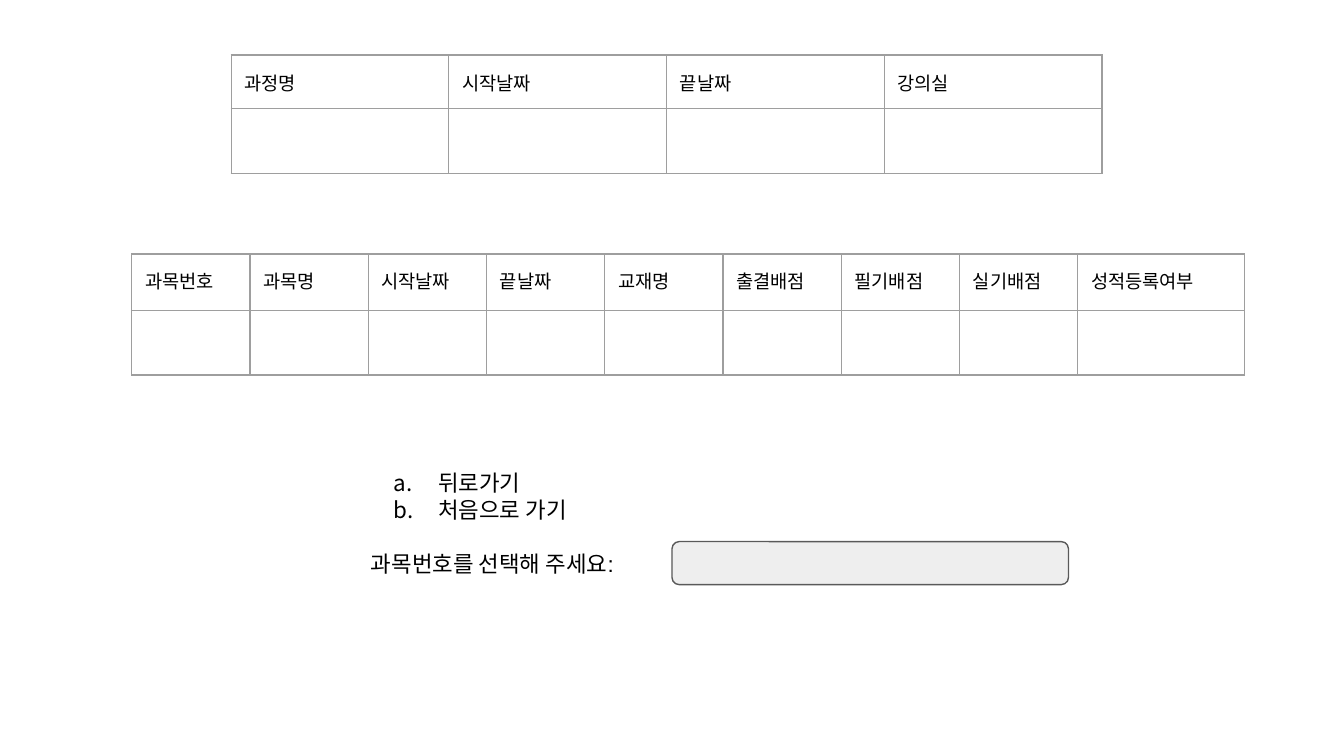
"""Build the course and subject selection slide."""
from lxml import etree
from pptx import Presentation, util as u
from pptx.dml.color import RGBColor
from pptx.enum import shapes, text
from pptx.oxml.ns import qn

WIDTH = 10
HEIGHT = WIDTH * 9 / 16
FONT = "Arial"
BLACK, BORDER, FIELD, OUTLINE = "000000", "9E9E9E", "EEEEEE", "595959"
COURSE_HEADS = ["과정명", "시작날짜", "끝날짜", "강의실"]
SUBJECT_HEADS = ["과목번호", "과목명", "시작날짜", "끝날짜", "교재명",
                 "출결배점", "필기배점", "실기배점", "성적등록여부"]
CHOICES = ["뒤로가기", "처음으로 가기"]
PROMPT = "과목번호를 선택해 주세요:"


def color(value):
    return RGBColor.from_string(value)


def add_child(parent, tag, **attributes):
    return etree.SubElement(parent, qn(tag), **attributes)


def write(para, words, size=12, before=0):
    para.space_before = u.Pt(before)
    span = para.add_run()
    span.text = words
    span.font.name = FONT
    span.font.size = u.Pt(size)
    span.font.color.rgb = color(BLACK)


def set_list_style(para, numbered):
    props = para._p.get_or_add_pPr()
    props.set("marL", str(u.Inches(0.5 if numbered else 0)))
    props.set("indent", str(u.Inches(-0.33 if numbered else 0)))
    if numbered:
        bullet_color = add_child(props, "a:buClr")
        add_child(bullet_color, "a:srgbClr", val=BLACK)
        add_child(props, "a:buFont", typeface=FONT)
        add_child(props, "a:buAutoNum", type="alphaLcPeriod")
    else:
        add_child(props, "a:buNone")


def set_margins(area, margin=0.1):
    area.margin_left = area.margin_right = u.Inches(margin)
    area.margin_top = area.margin_bottom = u.Inches(margin)


def style_cell(cell):
    props = cell._tc.get_or_add_tcPr()
    for side in ("a:lnL", "a:lnR", "a:lnT", "a:lnB"):
        line = add_child(props, side, w=str(u.Pt(0.75)))
        fill = add_child(line, "a:solidFill")
        add_child(fill, "a:srgbClr", val=BORDER)
    cell.fill.background()


def add_grid(page, left, top, heads, widths, heights):
    frame = page.shapes.add_table(
        len(heights), len(heads), u.Inches(left), u.Inches(top),
        u.Inches(sum(widths)), u.Inches(sum(heights)))
    table = frame.table
    table.first_row = table.horz_banding = False
    for column, width in zip(table.columns, widths):
        column.width = u.Inches(width)
    for row, height in zip(table.rows, heights):
        row.height = u.Inches(height)
    for cell in table.iter_cells():
        style_cell(cell)
    for cell, head in zip(table.rows[0].cells, heads):
        set_margins(cell)
        write(cell.text_frame.paragraphs[0], head, size=10)


def place(shape, left, top, width, height):
    shape.left, shape.top = u.Inches(left), u.Inches(top)
    shape.width, shape.height = u.Inches(width), u.Inches(height)


def fill_menu(body):
    place(body, 2.66, 3.39, 6.33, 0.74)
    frame = body.text_frame
    frame.word_wrap = True
    frame.auto_size = text.MSO_AUTO_SIZE.NONE
    frame.vertical_anchor = text.MSO_ANCHOR.TOP
    set_margins(frame)
    for index, words in enumerate(CHOICES + [PROMPT]):
        para = frame.paragraphs[0] if index == 0 else frame.add_paragraph()
        numbered = words != PROMPT
        set_list_style(para, numbered)
        write(para, words, before=0 if numbered else 14.5)


def add_field(page, left, top, width, height):
    field = page.shapes.add_shape(
        shapes.MSO_SHAPE.ROUNDED_RECTANGLE, u.Inches(left), u.Inches(top),
        u.Inches(width), u.Inches(height))
    field.shadow.inherit = False
    field.fill.solid()
    field.fill.fore_color.rgb = color(FIELD)
    field.line.color.rgb = color(OUTLINE)
    field.line.width = u.Pt(0.75)


def main():
    deck = Presentation()
    deck.slide_width, deck.slide_height = u.Inches(WIDTH), u.Inches(HEIGHT)
    page = deck.slides.add_slide(deck.slide_layouts[1])
    title = page.shapes.title
    title.element.getparent().remove(title.element)
    add_grid(page, 1.72, 0.41, COURSE_HEADS, [1.62] * 4, [0.4, 0.48])
    add_grid(page, 0.98, 1.89, SUBJECT_HEADS, [0.88] * 8 + [1.24], [0.42, 0.48])
    fill_menu(page.placeholders[1])
    add_field(page, WIDTH / 2, 4.03, 2.95, 0.32)
    deck.save("out.pptx")


if __name__ == "__main__":
    main()
